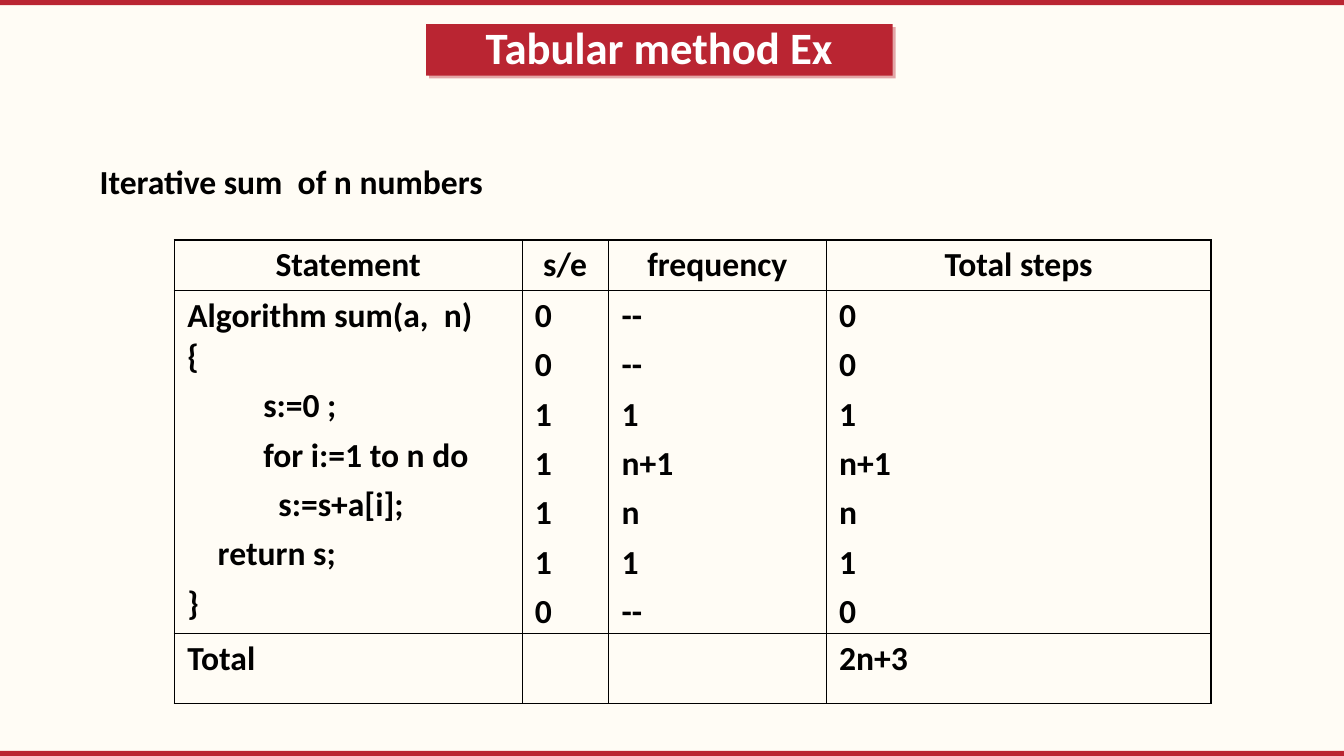
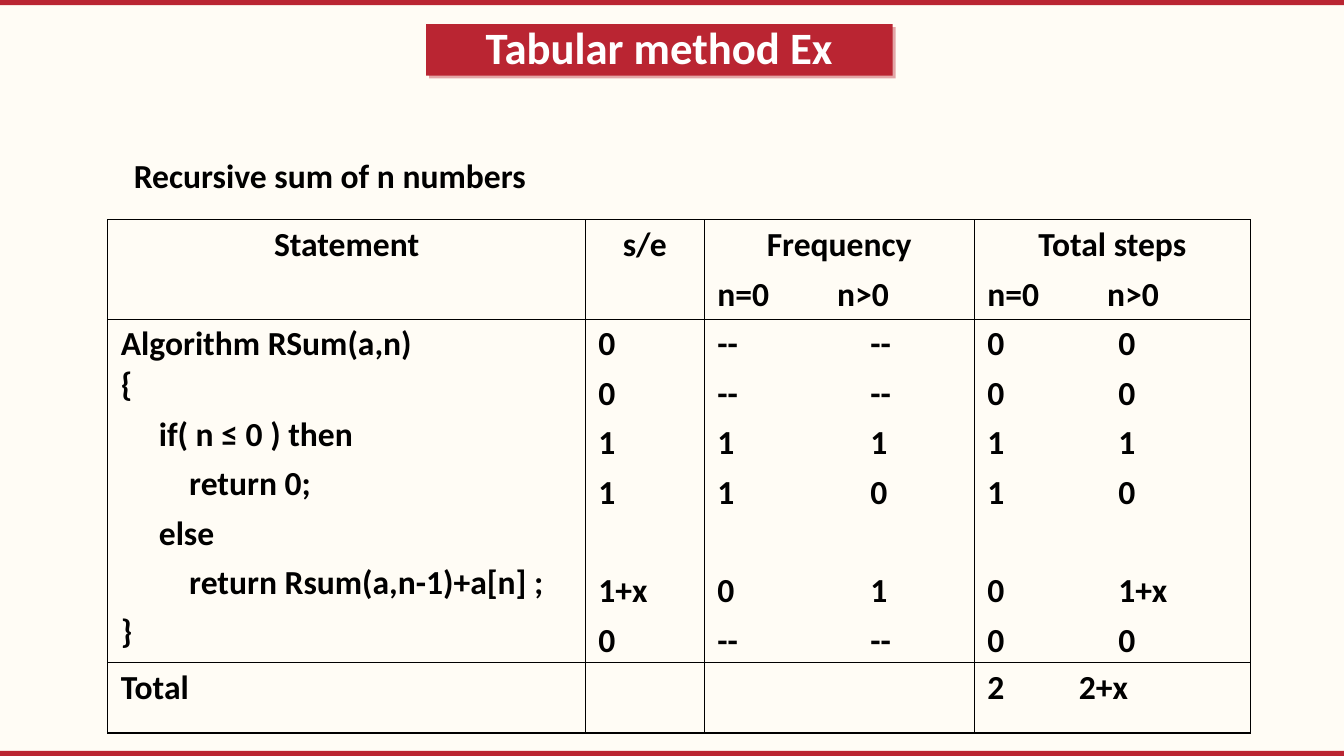
from lxml.etree import SubElement
from pptx import Presentation
from pptx.dml.color import RGBColor
from pptx.enum.shapes import MSO_SHAPE
from pptx.enum.text import MSO_ANCHOR, MSO_AUTO_SIZE, PP_ALIGN
from pptx.oxml.ns import qn
from pptx.util import Pt

PX = 9144  # EMU in one px, 100 px to the inch
WIDTH, HEIGHT, BAND = 1334, 750, 5
TITLE_BOX = (423, 24, 463, 51)
CELL_MARGIN = 13
FONT = "Calibri"
COLORS = {"paper": "FFFCF5", "accent": "BA2532", "ink": "000000", "title": "FFFFFF"}
OUTER_LINE, INNER_LINE = 1.08, 0.45
BODY_SIZE, TITLE_SIZE = 24, 32
LINE_GAP, SKIPPED_LINE = 6, 35.3  # points

# A cell is a list of lines; None leaves the height of one line free.
SLIDES = [
    {
        "title": "Tabular method Ex",
        "caption": "Iterative sum  of n numbers",
        "caption_box": (89, 155, 889, 95),
        "table_at": (173, 238),
        "columns": [345, 86, 216, 382],
        "rows": [50, 340, 70],
        "tabs": {},
        "cells": [
            [["Statement"], ["s/e"], ["frequency"], ["Total steps"]],
            [
                ["Algorithm sum(a,  n)\n{", "          s:=0 ;",
                 "          for i:=1 to n do", "            s:=s+a[i];",
                 "    return s;", "}"],
                ["0", "0", "1", "1", "1", "1", "0"],
                ["--", "--", "1", "n+1", "n", "1", "--"],
                ["0", "0", "1", "n+1", "n", "1", "0"],
            ],
            [["Total"], [], [], ["2n+3"]],
        ],
    },
    {
        "title": "Tabular method Ex",
        "caption": "Recursive sum of n numbers",
        "caption_box": (123, 149, 889, 51),
        "table_at": (107, 218),
        "columns": [474, 118, 268, 274],
        "rows": [98, 340, 70],
        "tabs": {(0, 2): 119, (0, 3): 119, (1, 2): 152, (1, 3): 130, (2, 3): 91},
        "cells": [
            [["Statement"], ["s/e"], ["Frequency", "n=0\tn>0"], ["Total steps", "n=0\tn>0"]],
            [
                ["Algorithm RSum(a,n)\n{", "     if( n ≤ 0 ) then",
                 "         return 0;", "     else",
                 "         return Rsum(a,n-1)+a[n] ;", "}"],
                ["0", "0", "1", "1", None, "1+x", "0"],
                ["--\t--", "--\t--", "1\t1", "1\t0", None, "0\t1", "--\t--"],
                ["0\t0", "0\t0", "1\t1", "1\t0", None, "0\t1+x", "0\t0"],
            ],
            [["Total"], [], [], ["2\t2+x"]],
        ],
    },
]


def px(*lengths):
    return [length * PX for length in lengths]


def color(name):
    return RGBColor.from_string(COLORS[name])


def format_runs(paragraph, size, color_name):
    for run in paragraph.runs:
        run.font.name = FONT
        run.font.size = Pt(size)
        run.font.bold = True
        run.font.color.rgb = color(color_name)


def add_solid_fill(parent, color_name):
    fill = SubElement(parent, qn("a:solidFill"))
    return SubElement(fill, qn("a:srgbClr"), val=COLORS[color_name])


def style_master(master, slide):
    """Set the background and move two bands, drawn on the slide, to the master."""
    master.background.fill.solid()
    master.background.fill.fore_color.rgb = color("paper")
    for number, top in enumerate((0, HEIGHT - BAND)):
        band = slide.shapes.add_shape(MSO_SHAPE.RECTANGLE, *px(0, top, WIDTH, BAND))
        band.shadow.inherit = False
        band.fill.solid()
        band.fill.fore_color.rgb = color("accent")
        band.line.fill.background()
        band.element.xpath(".//p:cNvPr")[0].set("id", str(101 + number))
        master.shapes.element.insert(2 + number, band.element)


def fill_title(title, text):
    title.left, title.top, title.width, title.height = px(*TITLE_BOX)
    properties = title.element.spPr
    geometry = SubElement(properties, qn("a:prstGeom"), prst="roundRect")
    SubElement(geometry, qn("a:avLst"))
    title.fill.solid()
    title.fill.fore_color.rgb = color("accent")
    title.line.fill.background()
    effects = SubElement(properties, qn("a:effectLst"))
    shadow = SubElement(effects, qn("a:outerShdw"), blurRad="0", dist=str(Pt(3)),
                        dir="2700000", algn="tl", rotWithShape="0")
    shadow_color = SubElement(shadow, qn("a:srgbClr"), val=COLORS["accent"])
    SubElement(shadow_color, qn("a:alpha"), val="40000")

    frame = title.text_frame
    frame.text = text
    frame.auto_size = MSO_AUTO_SIZE.NONE
    frame.vertical_anchor = MSO_ANCHOR.MIDDLE
    paragraph = frame.paragraphs[0]
    paragraph.alignment = PP_ALIGN.CENTER
    paragraph.line_spacing = 0.9
    format_runs(paragraph, TITLE_SIZE, "title")


def add_caption(slide, text, box):
    frame = slide.shapes.add_textbox(*px(*box)).text_frame
    frame.word_wrap = True
    frame.text = text
    format_runs(frame.paragraphs[0], BODY_SIZE, "ink")


def set_borders(cell, widths):
    properties = cell._tc.get_or_add_tcPr()
    for side, width in zip("LRTB", widths):
        line = SubElement(properties, qn(f"a:ln{side}"), w=str(Pt(width)))
        add_solid_fill(line, "ink")


def fill_cell(cell, lines, tab, is_header):
    cell.margin_left = cell.margin_right = CELL_MARGIN * PX
    frame = cell.text_frame
    space = 0
    for index, line in enumerate(lines):
        if line is None:
            space += SKIPPED_LINE
            continue
        paragraph = frame.add_paragraph() if index else frame.paragraphs[0]
        paragraph.text = line
        if "\t" in line:
            tabs = SubElement(paragraph._p.get_or_add_pPr(), qn("a:tabLst"))
            SubElement(tabs, qn("a:tab"), pos=str(tab * PX), algn="l")
        elif is_header:
            paragraph.alignment = PP_ALIGN.CENTER
        paragraph.space_before = Pt(space)
        format_runs(paragraph, BODY_SIZE, "ink")
        space = LINE_GAP


def add_step_table(slide, content):
    columns, rows = content["columns"], content["rows"]
    box = px(*content["table_at"], sum(columns), sum(rows))
    table = slide.shapes.add_table(len(rows), len(columns), *box).table
    table.first_row = table.horz_banding = False
    for column, width in zip(table.columns, columns):
        column.width = width * PX
    for row, height in zip(table.rows, rows):
        row.height = height * PX
    last_row, last_column = len(rows) - 1, len(columns) - 1
    for r, row_cells in enumerate(content["cells"]):
        for c, lines in enumerate(row_cells):
            cell = table.cell(r, c)
            on_edge = (c == 0, c == last_column, r == 0, r == last_row)
            set_borders(cell, [OUTER_LINE if edge else INNER_LINE for edge in on_edge])
            cell.fill.background()
            fill_cell(cell, lines, content["tabs"].get((r, c)), r == 0)


def main():
    presentation = Presentation()
    presentation.slide_width, presentation.slide_height = px(WIDTH, HEIGHT)
    title_only = presentation.slide_layouts[5]
    for content in SLIDES:
        slide = presentation.slides.add_slide(title_only)
        fill_title(slide.shapes.title, content["title"])
        add_caption(slide, content["caption"], content["caption_box"])
        add_step_table(slide, content)
    style_master(presentation.slide_master, presentation.slides[0])
    presentation.save("out.pptx")


if __name__ == "__main__":
    main()
